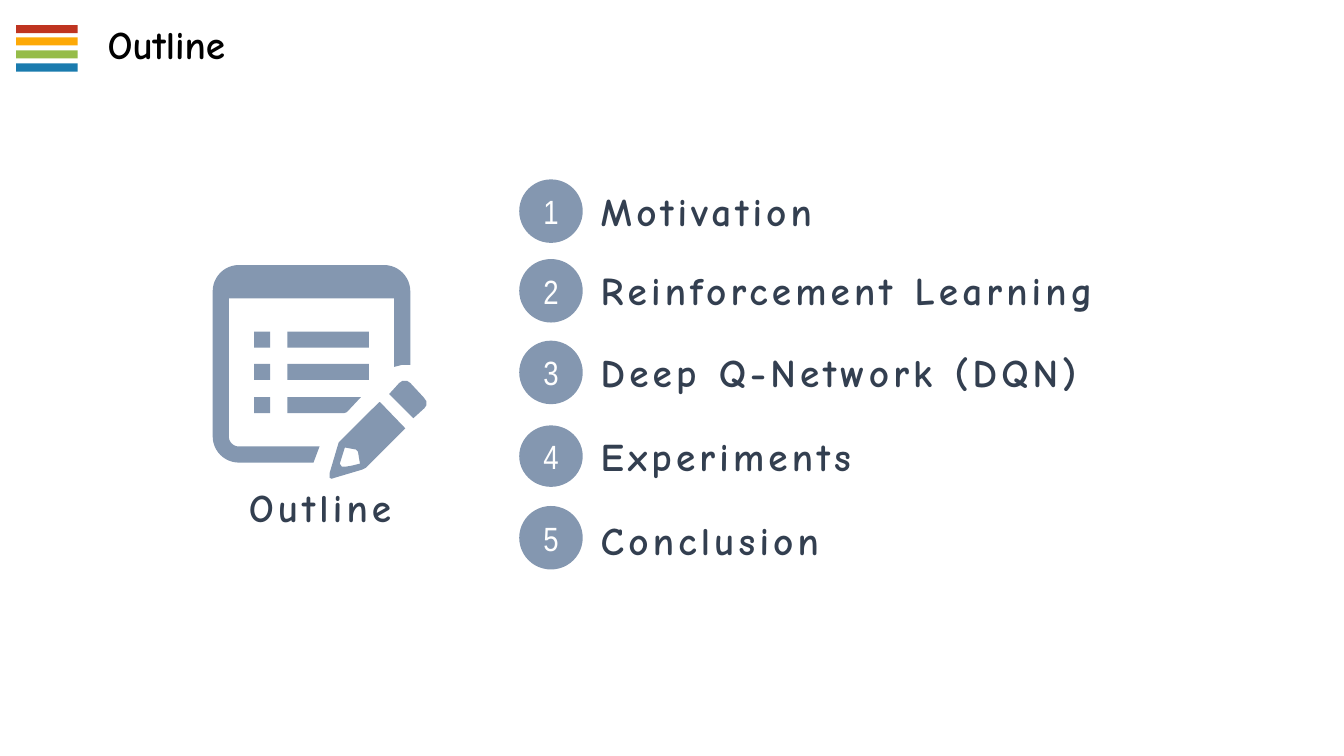
from dataclasses import dataclass
from math import cos, radians, sin

from pptx import Presentation
from pptx.dml.color import RGBColor
from pptx.enum.shapes import MSO_SHAPE
from pptx.enum.text import MSO_ANCHOR, PP_ALIGN
from pptx.util import Pt

SCALE = 9144  # EMU in one px, 100 px to the inch


@dataclass(frozen=True)
class Theme:
    ink: str = "000000"
    navy: str = "333F50"
    slate: str = "8497B0"
    white: str = "FFFFFF"
    stripes: tuple = ("BF3420", "FDA907", "95BC49", "1A7BAE")
    face: str = "Comic Neue"
    digit: str = "Arial Narrow"
    large: int = 28
    small: int = 24


THEME = Theme()
TOPICS = (  # label, circle top, circle height, label top
    ("Motivation", 0, 63, 3),
    ("Reinforcement Learning", 79, 63, 81),
    ("Deep Q-Network (DQN)", 160, 63, 163),
    ("Experiments", 244, 61, 246),
    ("Conclusion", 324, 63, 329),
)


def px(*values):
    return [round(value * SCALE) for value in values]


def paint(shape, color):
    shape.shadow.inherit = False
    shape.fill.solid()
    shape.fill.fore_color.rgb = RGBColor.from_string(color)
    shape.line.fill.background()


def add_block(slide, kind, box, color):
    shape = slide.shapes.add_shape(kind, *px(*box))
    paint(shape, color)
    return shape


def write(frame, text, face, size, color, align=PP_ALIGN.LEFT):
    frame.text = text
    line = frame.paragraphs[0]
    line.alignment = align
    font = line.runs[0].font
    font.name = face
    font.size = Pt(size)
    font.color.rgb = RGBColor.from_string(color)
    return font


def add_label(slide, box, text, color, align=PP_ALIGN.LEFT, spacing=0):
    """Add a bold text box; spacing is in hundredths of a point."""
    frame = slide.shapes.add_textbox(*px(*box)).text_frame
    frame.word_wrap = True
    font = write(frame, text, THEME.face, THEME.large, color, align)
    font.bold = True
    if spacing:
        frame.paragraphs[0].runs[0].font._element.set("spc", str(spacing))


def arc(x, y, radius, start, stop):
    """Points on a quarter circle, with angles running clockwise."""
    angles = [radians(start + (stop - start) * i / 12) for i in range(13)]
    return [(x + radius * cos(a), y + radius * sin(a)) for a in angles]


def add_outline(slide, left, top, *loops):
    """Fill closed loops of points, given relative to left and top."""
    loops = [[px(left + x, top + y) for x, y in loop] for loop in loops]
    pen = slide.shapes.build_freeform(*loops[0][0])
    pen.add_line_segments(loops[0][1:], close=True)
    for loop in loops[1:]:
        pen.move_to(*loop[0])
        pen.add_line_segments(loop[1:], close=True)
    paint(pen.convert_to_shape(), THEME.slate)


def add_header(slide, left, top):
    for i, color in enumerate(THEME.stripes):
        box = (left, top + i * 38 // 3, 61, 8)
        add_block(slide, MSO_SHAPE.RECTANGLE, box, color)
    add_label(slide, (left + 81, top - 10, 676, 57), "Outline", THEME.ink)


def add_notepad(slide, left, top):
    frame = [
        (106, 180), (100, 196),
        *arc(26, 170, 26, 90, 180),
        *arc(26, 26, 26, 180, 270),
        *arc(170, 26, 26, 270, 360),
        (196, 99), (188, 99), (180, 101), (180, 33), (16, 33),
        *arc(26, 170, 10, 180, 90),
    ]
    pencil = [
        (166, 136), (191, 162), (181, 172), (152, 201), (148, 203),
        (121, 211), (118, 212), (116, 211), (116, 206), (124, 179),
        (125, 176), (165, 136),
    ]
    tip = [
        (131, 181), (126, 197), (128, 200), (132, 200), (138, 199),
        (146, 197), (144, 185), (142, 183),
    ]
    eraser = [
        (175, 128), (185, 117), (188, 115), (193, 115), (196, 117),
        (209, 131), (212, 135), (212, 139), (210, 142), (199, 152),
    ]
    cut = [(74, 131), (147, 131), (133, 146), (130, 147), (74, 147)]
    add_outline(slide, left, top, frame)
    add_outline(slide, left, top, pencil, tip)
    add_outline(slide, left, top, eraser)
    add_outline(slide, left, top, cut)
    for i in range(3):
        y = top + 66 + i * 65 // 2
        add_block(slide, MSO_SHAPE.RECTANGLE, (left + 41, y, 16, 16), THEME.slate)
        if i < 2:
            add_block(slide, MSO_SHAPE.RECTANGLE, (left + 74, y, 81, 16), THEME.slate)
    add_label(slide, (left - 39, top + 212, 291, 57), "Outline",
              THEME.navy, PP_ALIGN.CENTER, 300)


def add_topics(slide, left, top):
    for number, (text, drop, height, shift) in enumerate(TOPICS, 1):
        box = (left, top + drop, 63, height)
        disc = add_block(slide, MSO_SHAPE.OVAL, box, THEME.slate)
        disc.text_frame.vertical_anchor = MSO_ANCHOR.MIDDLE
        write(disc.text_frame, str(number), THEME.digit, THEME.small,
              THEME.white, PP_ALIGN.CENTER)
        add_label(slide, (left + 71, top + shift, 576, 57), text,
                  THEME.navy, spacing=300)


def main():
    deck = Presentation()
    deck.slide_width, deck.slide_height = px(1333, 750)
    slide = deck.slides.add_slide(deck.slide_layouts[6])
    add_header(slide, 16, 25)
    add_notepad(slide, 211, 263)
    add_topics(slide, 515, 178)
    deck.save("out.pptx")


if __name__ == "__main__":
    main()
